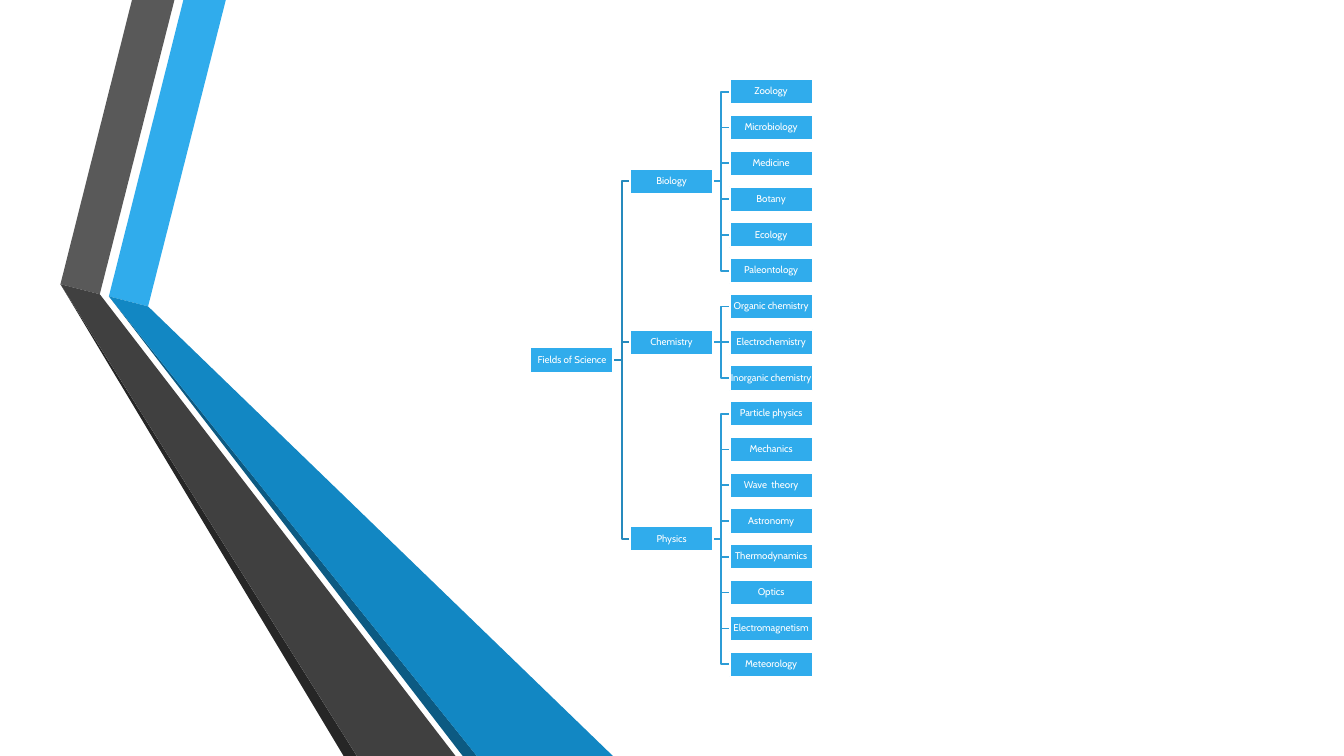
from pptx import Presentation
from pptx.dml.color import RGBColor
from pptx.enum.shapes import MSO_CONNECTOR, MSO_SHAPE
from pptx.enum.text import MSO_ANCHOR, PP_ALIGN
from pptx.oxml.xmlchemy import OxmlElement
from pptx.util import Pt

BLUE, WHITE = "30ACEC", "FFFFFF"
LEVEL_LINES = ["268ABD", "2C9CD6"]
LINE_WIDTH = 1.25
LEFT_SITE, RIGHT_SITE = 1, 3

ROOT = "Fields of Science"
FIELDS = {
    "Biology": ["Zoology", "Microbiology", "Medicine", "Botany", "Ecology",
                "Paleontology"],
    "Chemistry": ["Organic chemistry", "Electrochemistry",
                  "Inorganic chemistry"],
    "Physics": ["Particle physics", "Mechanics", "Wave  theory", "Astronomy",
                "Thermodynamics", "Optics", "Electromagnetism",
                "Meteorology"],
}


def paint(target, color):
    """Give a fill or a font a solid colour from a hex string."""
    if hasattr(target, "solid"):
        target.solid()
        target = target.fore_color
    else:
        target = target.color
    target.rgb = RGBColor.from_string(color)


def apply(target, formats):
    """Set each attribute named in a dict of format values."""
    for attribute, value in formats.items():
        setattr(target, attribute, value)


def draw_ribbons(slide, left, top, height):
    """Draw the two folded ribbons from the top edge down to the bottom."""
    gray_fold, gray_inner = (0, 203), (28.1, 210.2)
    blue_fold, blue_inner = (34.6, 211.7), (62.6, 218.9)
    facets = [
        (BLUE, [blue_fold, blue_inner, (118.1, 0), (87.8, 0)]),
        ("595959", [gray_inner, (81.4, 0), (51.1, 0), gray_fold]),
        ("262626", [gray_fold, (202.3, height), (211.7, height)]),
        ("0C5A82", [blue_fold, (287.3, height), (297.4, height)]),
        ("1287C3", [blue_fold, (297.4, height), (394.6, height), blue_inner]),
        ("404040", [gray_fold, (211.7, height), (282.2, height), gray_inner]),
    ]
    for color, corners in facets:
        points = [(Pt(left + x), Pt(top + y)) for x, y in corners]
        outline = slide.shapes.build_freeform(*points[0])
        outline.add_line_segments(points[1:], close=True)
        facet = outline.convert_to_shape()
        facet.shadow.inherit = False
        paint(facet.fill, color)
        facet.line.fill.background()


def draw_topic(slide, left, middle, width, height, label):
    """Draw one labelled box centred on the given height."""
    topic = slide.shapes.add_shape(
        MSO_SHAPE.RECTANGLE, Pt(left), Pt(middle - height / 2),
        Pt(width), Pt(height))
    topic.shadow.inherit = False
    paint(topic.fill, BLUE)
    paint(topic.line.fill, WHITE)
    topic.line.width = Pt(LINE_WIDTH)
    frame = topic.text_frame
    apply(frame, dict(margin_left=0, margin_right=0, margin_top=0,
                      margin_bottom=0, word_wrap=True,
                      vertical_anchor=MSO_ANCHOR.MIDDLE))
    caption = frame.paragraphs[0]
    apply(caption, dict(text=label, alignment=PP_ALIGN.CENTER,
                        line_spacing=0.9))
    apply(caption.runs[0].font, dict(name="Cabin", size=Pt(7)))
    paint(caption.runs[0].font, WHITE)
    return topic


def link_topics(slide, parent, child, color):
    """Join a box to one on its right, behind both boxes."""
    level = abs(parent.top - child.top) < Pt(0.5)
    kind = MSO_CONNECTOR.STRAIGHT if level else MSO_CONNECTOR.ELBOW
    branch = slide.shapes.add_connector(kind, 0, 0, 0, 0)
    branch.begin_connect(parent, RIGHT_SITE)
    branch.end_connect(child, LEFT_SITE)
    paint(branch.line.fill, color)
    branch.line.width = Pt(LINE_WIDTH)
    branch._element.spPr.append(OxmlElement("a:effectLst"))
    parent._element.addprevious(branch._element)


def draw_tree(slide, left, top, width, height):
    """Draw the fields in three columns, each parent midway by its children."""
    topic_width, topic_height = 59.2, 17.8
    column_step = (width - topic_width) / 2
    row_count = sum(len(branches) for branches in FIELDS.values())
    row_step = (height - topic_height) / (row_count - 1)

    def place(column, row, label):
        return draw_topic(slide, left + column * column_step,
                          top + topic_height / 2 + row * row_step,
                          topic_width, topic_height, label)

    field_rows, first_row = {}, 0
    for field, branches in FIELDS.items():
        field_rows[field] = first_row + (len(branches) - 1) / 2
        first_row += len(branches)
    middles = list(field_rows.values())
    root = place(0, (middles[0] + middles[-1]) / 2, ROOT)

    row = 0
    for field, branches in FIELDS.items():
        field_topic = place(1, field_rows[field], field)
        link_topics(slide, root, field_topic, LEVEL_LINES[0])
        for branch in branches:
            branch_topic = place(2, row, branch)
            link_topics(slide, field_topic, branch_topic, LEVEL_LINES[1])
            row += 1


def main():
    """Build the slide and save it."""
    deck = Presentation()
    apply(deck, dict(slide_width=Pt(960), slide_height=Pt(540)))
    slide = deck.slides.add_slide(deck.slide_layouts[6])
    paint(slide.background.fill, WHITE)
    draw_ribbons(slide, left=43.2, top=0, height=540)
    draw_tree(slide, left=379, top=56.7, width=201.4, height=426.6)
    deck.save("out.pptx")


main()
